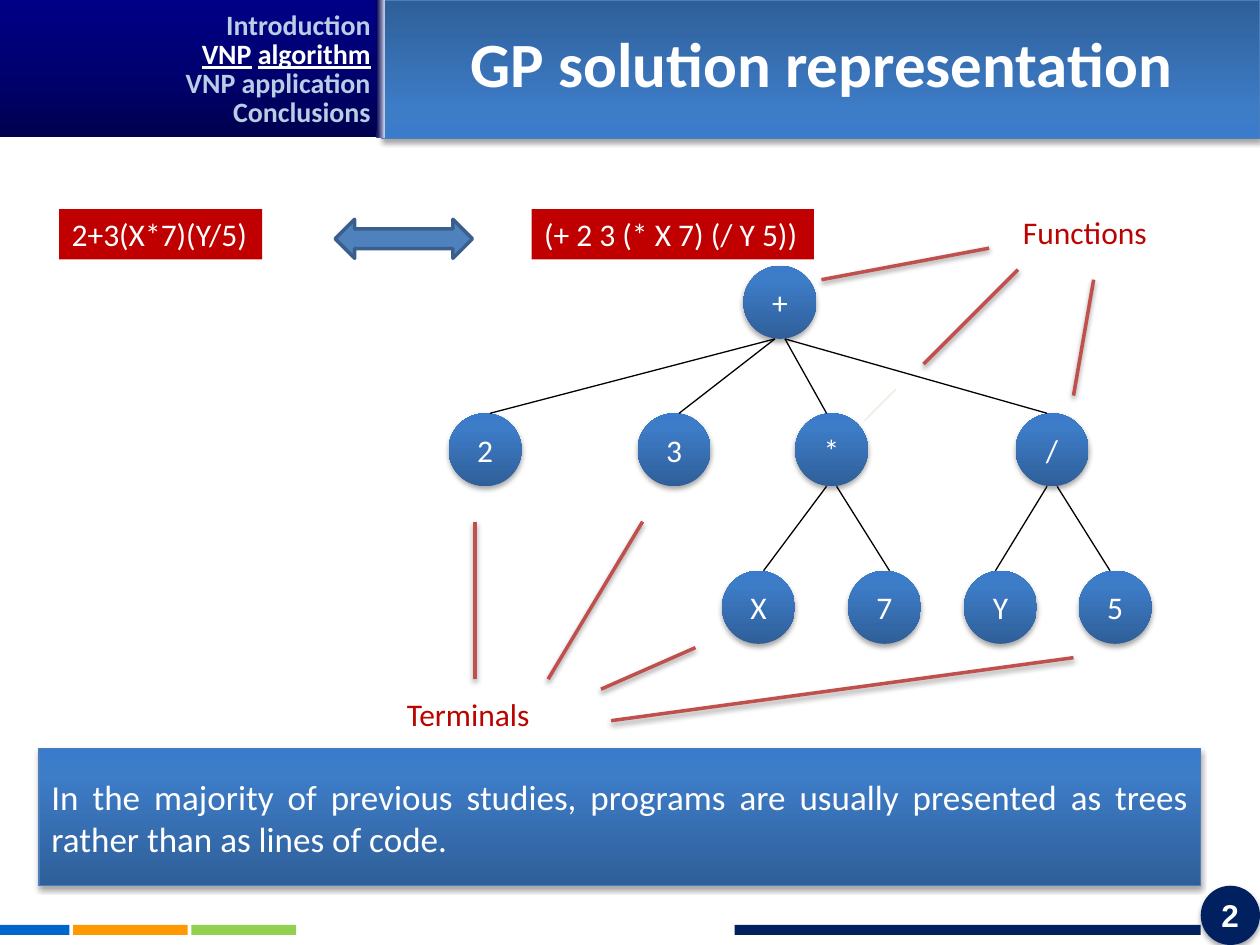
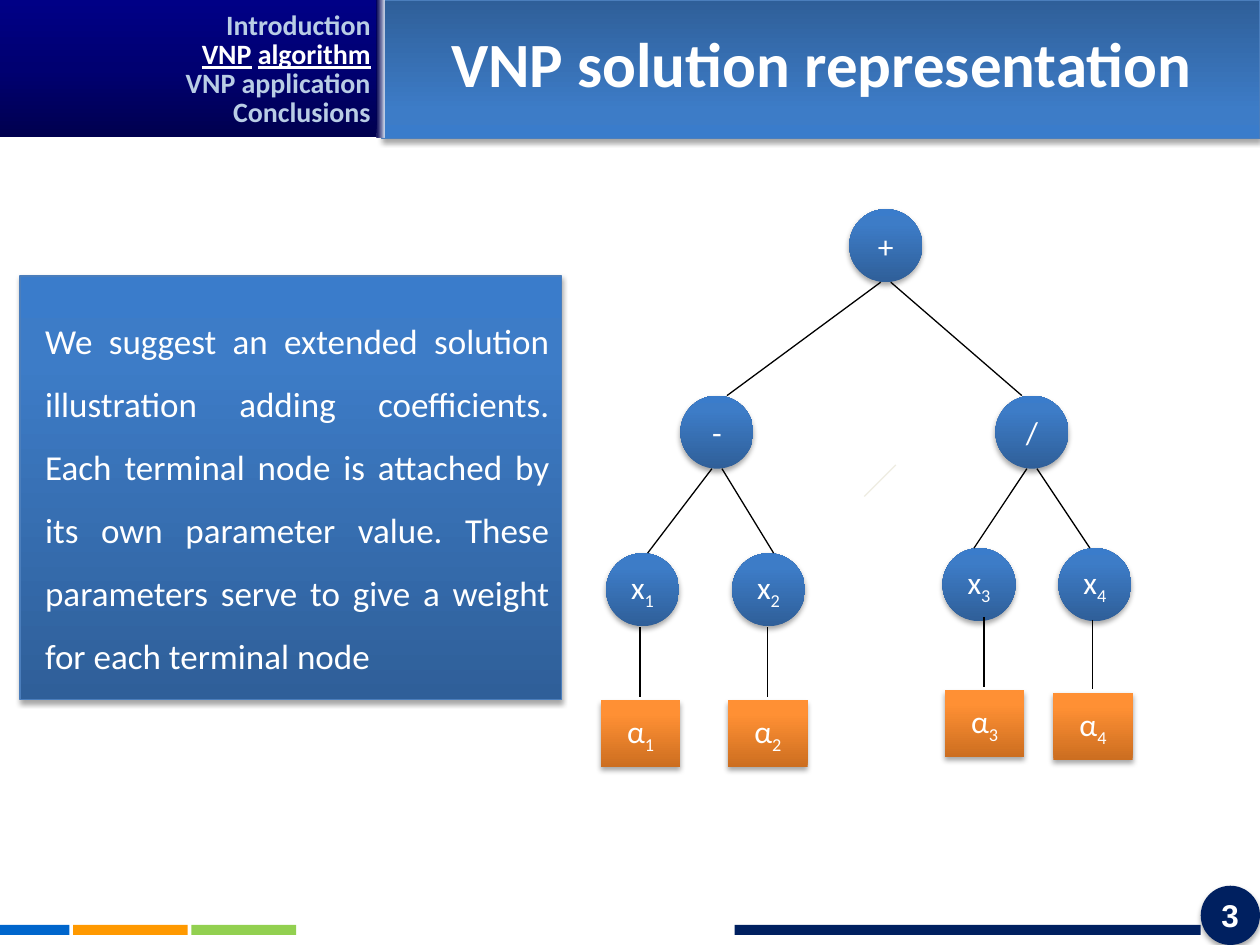
from lxml import etree
from pptx import Presentation
from pptx import util as u
from pptx.dml.color import RGBColor
from pptx.enum import shapes, text
from pptx.oxml.ns import qn

# Shared palette: gradients are (position %, colour, opacity %)
WHITE, BLACK, NAVY, RED = "FFFFFF", "000000", "002060", "C00000"
LABEL_RED, POINTER_RED, FAINT = "B90400", "C0504D", "EEECE1"
PALE_BLUE, EDGE_BLUE = "B9CDE5", "4B7EBC"
BLUE = [(0, "2F5F99", 100), (80, "3D7CC7", 100), (100, "3A7CCB", 100)]
ORANGE = [(0, "CC6E20", 100), (80, "FF9034", 100), (100, "FF9136", 100)]
MENU_BLUE = [(0, "00004F", 100), (50, "000071", 100), (100, "000086", 100)]
SEAM = [(16, "000051", 88), (100, "E1E8F5", 100)]

LEFT, CENTER = text.PP_ALIGN.LEFT, text.PP_ALIGN.CENTER
RIGHT, JUSTIFY = text.PP_ALIGN.RIGHT, text.PP_ALIGN.JUSTIFY
TOP, MIDDLE = text.MSO_ANCHOR.TOP, text.MSO_ANCHOR.MIDDLE
RECT, OVAL = shapes.MSO_SHAPE.RECTANGLE, shapes.MSO_SHAPE.OVAL
NODE = 0.58  # node diameter


def length(inches):
    return u.Cm(inches * 2.54)


def colour(code):
    return RGBColor.from_string(code)


def add_xml(parent, tag, **attributes):
    child = etree.SubElement(parent, qn(tag))
    for key, value in attributes.items():
        child.set(key, str(value))
    return child


def add_colour(parent, code, opacity):
    node = add_xml(parent, "a:srgbClr", val=code)
    if opacity < 100:
        add_xml(node, "a:alpha", val=opacity * 1000)


def add_shadow(effects, opacity=35, distance=1.8):
    shadow = add_xml(effects, "a:outerShdw", blurRad=u.Pt(3.1), dist=u.Pt(distance),
                     dir=90 * 60000, algn="ctr", rotWithShape=0)
    add_colour(shadow, BLACK, opacity)


class Deck:
    """Holds the style and the current slide."""

    font = "Calibri"
    menu = ["Introduction", "VNP algorithm", "VNP application", "Conclusions"]
    current = "VNP algorithm"

    def __init__(self):
        self.show = Presentation()
        self.show.slide_width, self.show.slide_height = length(10), length(7.5)

    # Basic elements
    def shape(self, box, fill, kind=RECT, angle=270, line=None, width=0.75, shadow=False):
        shape = self.slide.shapes.add_shape(kind, *map(length, box))
        if isinstance(fill, str):
            shape.fill.solid()
            shape.fill.fore_color.rgb = colour(fill)
        else:
            self.gradient(shape, fill, angle)
        if line:
            shape.line.color.rgb = colour(line)
            shape.line.width = u.Pt(width)
        else:
            shape.line.fill.background()
        shape.shadow.inherit = False
        if shadow:
            add_shadow(shape._element.spPr.find(qn("a:effectLst")))
        return shape

    def gradient(self, shape, stops, angle):
        shape.fill.gradient()
        gradient = shape._element.spPr.find(qn("a:gradFill"))
        for child in list(gradient):
            gradient.remove(child)
        stop_list = add_xml(gradient, "a:gsLst")
        for position, code, opacity in stops:
            add_colour(add_xml(stop_list, "a:gs", pos=position * 1000), code, opacity)
        add_xml(gradient, "a:lin", ang=angle * 60000, scaled=0)

    def line(self, start, end, code=BLACK, width=0.75, shadow=False):
        line = self.slide.shapes.add_connector(
            shapes.MSO_CONNECTOR.STRAIGHT, *map(length, (*start, *end)))
        line.line.color.rgb = colour(code)
        line.line.width = u.Pt(width)
        effects = add_xml(line._element.spPr, "a:effectLst")
        if shadow:
            add_shadow(effects, 38, 1.6)

    def textbox(self, box):
        return self.slide.shapes.add_textbox(*map(length, box))

    def frame(self, shape, anchor=MIDDLE, wrap=True):
        shape.text_frame.vertical_anchor = anchor
        shape.text_frame.word_wrap = wrap
        return shape.text_frame

    def add_words(self, paragraph, words, size=18, code=WHITE, bold=False, font=None):
        run = paragraph.add_run()
        run.text = words
        run.font.name = font or self.font
        run.font.size = u.Pt(size)
        run.font.bold = bold
        run.font.color.rgb = colour(code)
        return run

    def label(self, shape, words, align=LEFT, anchor=MIDDLE, wrap=True, **style):
        paragraph = self.frame(shape, anchor, wrap).paragraphs[0]
        paragraph.alignment = align
        self.add_words(paragraph, words, **style)
        return paragraph

    def symbol(self, shape, name):
        """Centred letter; whatever follows it is a subscript."""
        paragraph = self.label(shape, name[0], CENTER, wrap=False)
        if name[1:]:
            index = self.add_words(paragraph, name[1:])
            index._r.get_or_add_rPr().set("baseline", "-25000")

    # Parts of every slide
    def new_slide(self, title, number):
        self.slide = self.show.slides.add_slide(self.show.slide_layouts[6])
        self.shape((0, 0, 2.99, 1.09), MENU_BLUE)
        self.shape((3.03, 0, 6.97, 1.1), BLUE, angle=90, line=EDGE_BLUE, shadow=True)
        heading = self.label(self.textbox((3.12, 0.26, 6.8, 0.6)), title, CENTER, TOP,
                             size=36, bold=True)
        heading.line_spacing = 0.8
        heading.space_before = u.Pt(3.8)
        self.shape((2.99, 0, 0.06, 1.09), SEAM, angle=0)
        self.footer(number)
        self.section_menu()

    def footer(self, number):
        self.shape((9.53, 7.03, 0.47, 0.47), NAVY, OVAL, shadow=True)
        self.label(self.textbox((9.38, 7.03, 0.55, 0.47)), str(number), RIGHT,
                   bold=True, font="Arial")
        for left, width, code in [(5.83, 3.7, NAVY), (1.52, 0.83, "92D050"),
                                  (0, 0.55, "0066CC"), (0.58, 0.91, "FF9900")]:
            self.shape((left, 7.34, width, 0.08), code)

    def section_menu(self):
        frame = self.frame(self.textbox((1.17, 0.08, 1.87, 1.02)), TOP)
        for i, section in enumerate(self.menu):
            entry = frame.add_paragraph() if i else frame.paragraphs[0]
            entry.alignment = RIGHT
            entry.line_spacing = 0.7
            entry.space_before = u.Pt(3.2)
            if section != self.current:
                self.add_words(entry, section, 16, PALE_BLUE, True)
                continue
            first, second = section.split()
            self.add_words(entry, first, 16, WHITE, True).font.underline = True
            self.add_words(entry, " ", 16, PALE_BLUE, True)
            self.add_words(entry, second, 16, WHITE, True).font.underline = True

    # Parts of the diagrams
    def panel(self, box, words):
        panel = self.shape(box, BLUE, line=EDGE_BLUE, shadow=True)
        return self.label(panel, words, JUSTIFY, size=20)

    def tree(self, nodes, branches):
        """nodes: name -> (left, top); branches: (parent, children, lean of lower end)."""
        for name, (left, top) in nodes.items():
            self.symbol(self.shape((left, top, NODE, NODE), BLUE, OVAL, shadow=True), name)
        for parent, children, lean in branches:
            left, top = nodes[parent]
            for child in children:
                child_left, child_top = nodes[child]
                side = -0.04 if child_left < left else 0.04
                self.line((child_left + NODE / 2 + lean, child_top),
                          (left + NODE / 2 + side, top + NODE))

    def expression(self, box, words):
        self.label(self.shape(box, RED), words, wrap=False)

    def caption(self, left, top, words):
        self.label(self.textbox((left, top, 1.19, 0.4)), words, anchor=TOP, wrap=False,
                   code=LABEL_RED)

    def weight(self, left, top, name):
        """Coefficient box with the stem that hangs it from its node."""
        self.line((left + 0.31, top - 0.58), (left + 0.31, top - 0.03))
        self.symbol(self.shape((left, top, 0.63, 0.53), ORANGE, shadow=True), name)


deck = Deck()

# Slide: GP solution representation
deck.new_slide("GP solution representation", 2)
deck.caption(8.02, 1.64, "Functions")
deck.caption(3.13, 5.47, "Terminals")
terminal_pointers = [((3.77, 4.14), (3.77, 5.39)), ((5.1, 4.14), (4.35, 5.39)),
                     ((8.52, 5.22), (4.85, 5.72)), ((5.52, 5.14), (4.77, 5.47))]
function_pointers = [((6.52, 2.22), (7.85, 1.97)), ((8.52, 3.14), (8.68, 2.22)),
                     ((7.33, 2.89), (8.08, 2.14))]
for start, end in terminal_pointers + function_pointers:
    deck.line(start, end, POINTER_RED, 2, shadow=True)
deck.line((6.86, 3.34), (7.11, 3.09), FAINT)
deck.tree(
    {"+": (5.9, 2.11),
     "2": (3.56, 3.28), "3": (5.06, 3.28), "*": (6.31, 3.28), "/": (8.06, 3.28),
     "X": (5.73, 4.53), "7": (6.73, 4.53), "Y": (7.65, 4.53), "5": (8.56, 4.53)},
    [("+", ["2", "3"], 0.04), ("+", ["*", "/"], -0.04),
     ("*", ["X", "7"], 0.04), ("/", ["Y", "5"], -0.04)])
deck.expression((4.22, 1.66, 2.24, 0.4), "(+ 2 3 (* X 7) (/ Y 5))")
deck.panel((0.31, 5.94, 9.22, 1.09),
           "In the majority of previous studies, programs are usually presented as trees "
           "rather than as lines of code.")
deck.expression((0.47, 1.66, 1.61, 0.4), "2+3(X*7)(Y/5)")
deck.shape((2.66, 1.74, 1.09, 0.31), "4F81BD", shapes.MSO_SHAPE.LEFT_RIGHT_ARROW,
           line="3A5F8C", width=2)

# Slide: VNP solution representation
deck.new_slide("VNP solution representation", 3)
suggestion = deck.panel(
    (0.16, 2.19, 4.3, 3.36),
    "We suggest an extended solution illustration adding coefficients. Each terminal node "
    "is attached by its own parameter value. These parameters serve to give a weight for "
    "each terminal node")
suggestion.line_spacing = 1.5
suggestion._p.get_or_add_pPr().set("marL", str(length(0.1)))
deck.line((6.86, 3.94), (7.11, 3.69), FAINT)
deck.tree(
    {"+": (6.74, 1.66), "-": (5.4, 3.14), "/": (7.9, 3.14),
     "x1": (4.81, 4.39), "x2": (5.81, 4.39), "x3": (7.48, 4.35), "x4": (8.4, 4.35)},
    [("+", ["-"], 0.08), ("+", ["/"], -0.08),
     ("-", ["x1", "x2"], 0.04), ("/", ["x3", "x4"], -0.04)])
weights = [(4.77, 5.56), (5.78, 5.56), (7.5, 5.48), (8.36, 5.5)]
for i, (left, top) in enumerate(weights, 1):
    deck.weight(left, top, f"α{i}")

deck.show.save("out.pptx")
